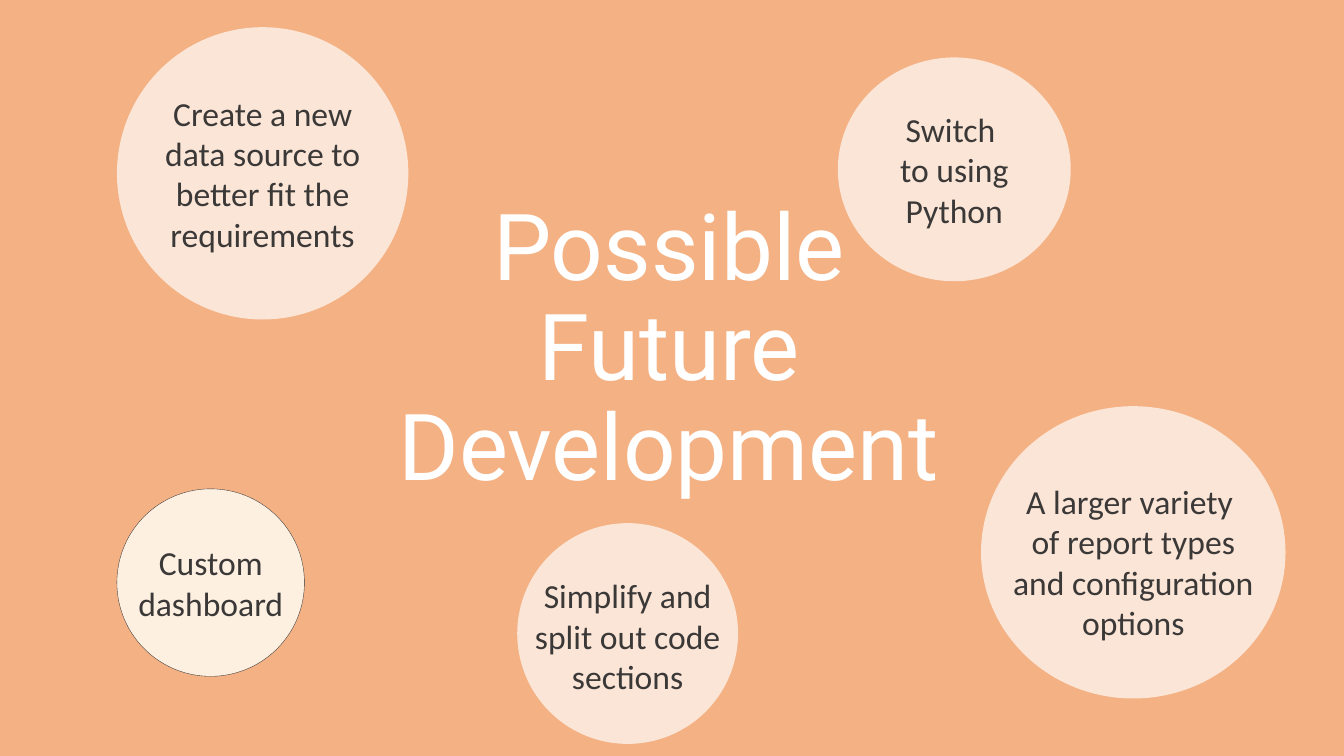
from pptx import Presentation
from pptx.dml.color import RGBColor
from pptx.enum.shapes import MSO_SHAPE
from pptx.enum.text import MSO_ANCHOR, PP_ALIGN
from pptx.util import Inches, Pt

PEACH = RGBColor(0xF4, 0xB1, 0x83)
BLUSH = RGBColor(0xFB, 0xE5, 0xD6)
CREAM = RGBColor(0xFD, 0xF0, 0xE1)
WHITE = RGBColor(0xFF, 0xFF, 0xFF)
GREY = RGBColor(0x3B, 0x38, 0x38)

WIDE, HIGH = 13.33, 7.5
LINE, PAD = 0.4, 0.11  # height of a text line, top and bottom margins

# circle box, text width, text drop, line count, fill, paragraphs
IDEAS = [
    ((1.16, 0.27, 2.89, 2.9), 2.54, 0, 4, BLUSH,
     ["Create a new data source to better fit the requirements"]),
    ((9.73, 4.03, 3.02, 2.9), 2.62, 0.09, 4, BLUSH,
     ["A larger variety ", "of report types and configuration options"]),
    ((1.16, 4.85, 1.86, 1.86), 1.78, 0, 2, CREAM, ["Custom dashboard"]),
    ((5.13, 5.19, 2.19, 2.19), 2.19, 0.02, 3, BLUSH,
     ["Simplify and split out code sections"]),
    ((8.31, 0.57, 2.31, 2.22), 1.64, 0, 3, BLUSH,
     ["Switch ", "to using", "Python"]),
]


def add_text(shapes, box, paras, size=24, font="Calibri", color=GREY,
             space=1.0):
    """Add centred text; a vertical tab in a paragraph breaks the line."""
    frame = shapes.add_textbox(*map(Inches, box)).text_frame
    frame.word_wrap = True
    frame.vertical_anchor = MSO_ANCHOR.MIDDLE
    for i, text in enumerate(paras):
        para = frame.paragraphs[0] if i == 0 else frame.add_paragraph()
        para.text = text
        para.alignment = PP_ALIGN.CENTER
        para.line_spacing = space
        for run in para.runs:
            run.font.size = Pt(size)
            run.font.name = font
            run.font.color.rgb = color


def add_title(slide, box):
    add_text(slide.shapes, box, ["Possible\vFuture Development"],
             size=66, font="Roboto", color=WHITE, space=0.9)


def add_idea(slide, box, width, drop, lines, fill, paras):
    """Group a circle with the text centred in it."""
    left, top, wide, high = box
    shapes = slide.shapes.add_group_shape().shapes
    disc = shapes.add_shape(MSO_SHAPE.OVAL, *map(Inches, box))
    disc.shadow.inherit = False
    disc.fill.solid()
    disc.fill.fore_color.rgb = fill
    if fill == CREAM:
        disc.line.color.rgb = GREY
        disc.line.width = Pt(0.25)
    else:
        disc.line.fill.background()
    tall = lines * LINE + PAD
    area = (left + (wide - width) / 2, top + (high - tall) / 2 + drop,
            width, tall)
    add_text(shapes, area, paras)


def main():
    deck = Presentation()
    deck.slide_width, deck.slide_height = Inches(WIDE), Inches(HIGH)
    slide = deck.slides.add_slide(deck.slide_layouts[6])
    slide.background.fill.solid()
    slide.background.fill.fore_color.rgb = PEACH
    add_title(slide, (3.65, 1.87, 5.97, 3.21))
    for idea in IDEAS:
        add_idea(slide, *idea)
    deck.save("out.pptx")


if __name__ == "__main__":
    main()
